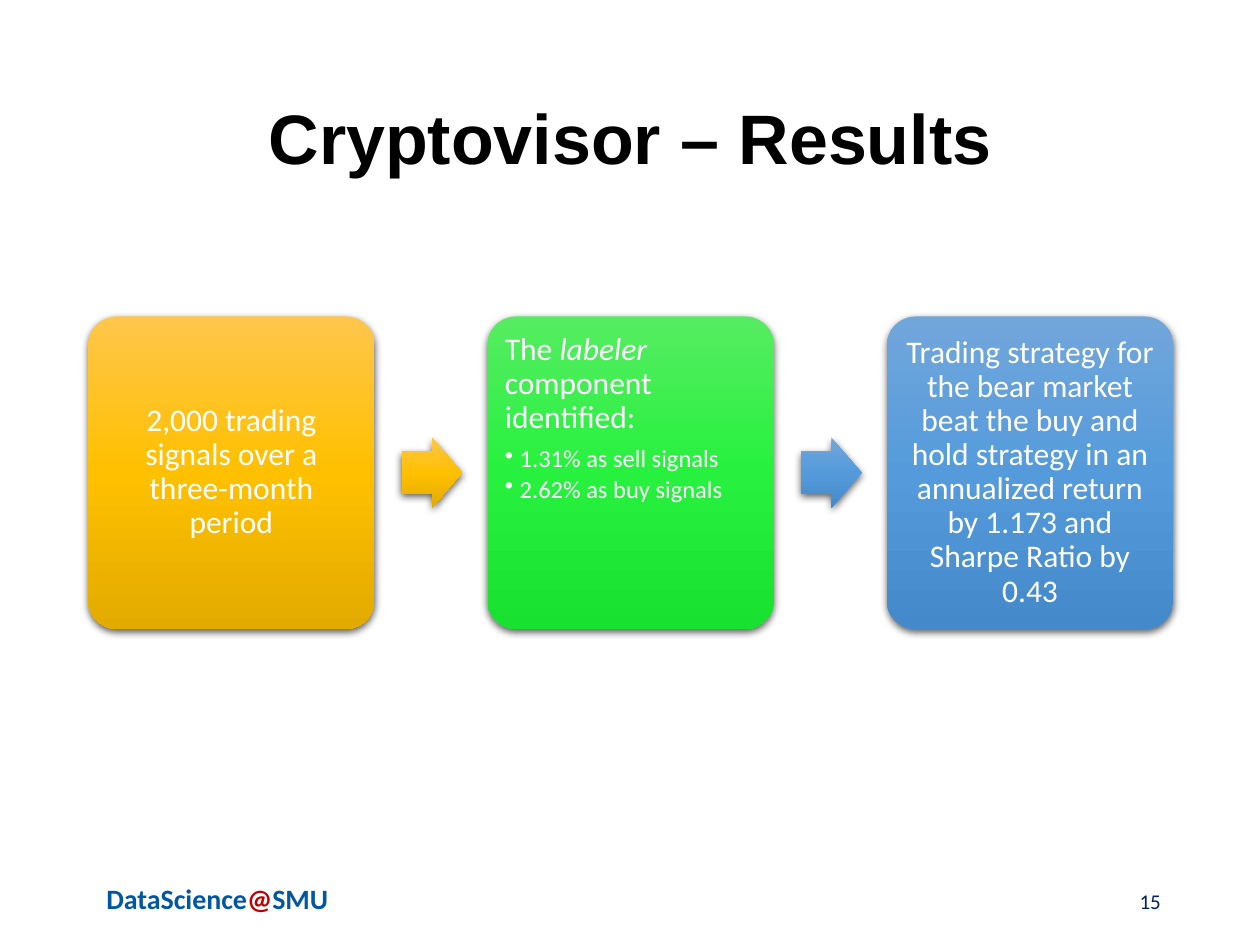
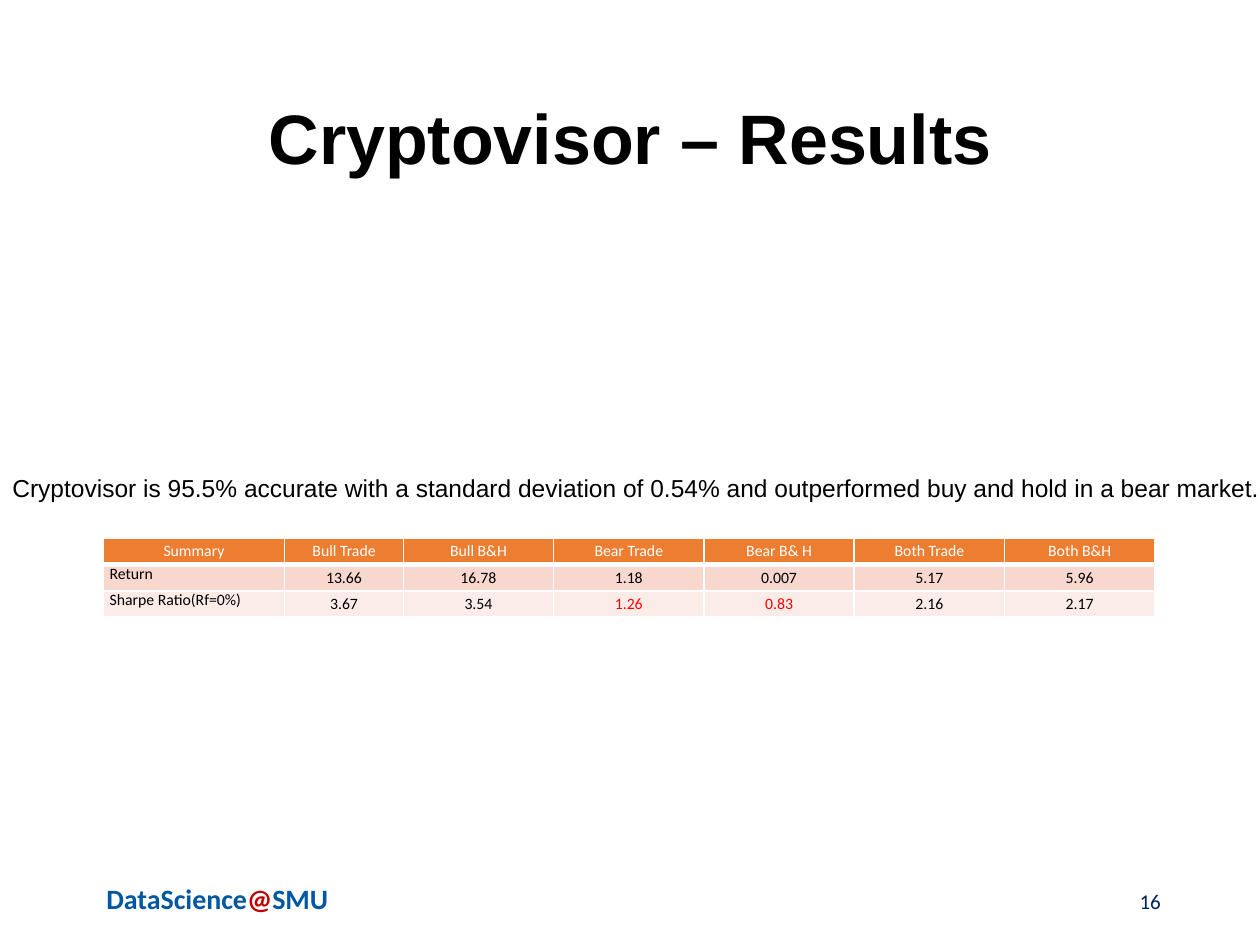
from lxml.etree import SubElement
from pptx import Presentation
from pptx.dml.color import RGBColor
from pptx.enum.shapes import MSO_SHAPE
from pptx.enum.text import MSO_ANCHOR, PP_ALIGN
from pptx.oxml.ns import qn
from pptx.util import Cm, Pt

# Shared colours and fonts
WHITE = RGBColor(0xFF, 0xFF, 0xFF)
BLACK = RGBColor(0, 0, 0)
RED = RGBColor(0xFF, 0, 0)
BRAND_BLUE = RGBColor(0x02, 0x57, 0xA1)
BRAND_RED = RGBColor(0xC0, 0, 0)
NAVY = RGBColor(0x00, 0x20, 0x60)
ORANGE = RGBColor(0xED, 0x7D, 0x31)
PINK = RGBColor(0xF8, 0xD7, 0xCE)
PALE_PINK = RGBColor(0xFC, 0xEC, 0xE8)
AMBER_FADE = (RGBColor(0xFF, 0xC6, 0x4B), RGBColor(0xFF, 0xC0, 0x00), RGBColor(0xE3, 0xAB, 0x00))
GREEN_FADE = (RGBColor(0x56, 0xEC, 0x62), RGBColor(0x27, 0xF1, 0x3E), RGBColor(0x18, 0xE1, 0x2F))
BLUE_FADE = (RGBColor(0x71, 0xA6, 0xDB), RGBColor(0x55, 0x9B, 0xDB), RGBColor(0x44, 0x8A, 0xCA))
HEADING_FONT = "Arial"
BODY_FONT = "Calibri"

# Flow of cards, in centimetres
CARD_LEFT, CARD_TOP = 1.78, 6.38
CARD_WIDTH, CARD_HEIGHT = 5.77, 6.3
CARD_PITCH = 8.05
ARROW_OFFSET, ARROW_WIDTH, ARROW_HEIGHT = 6.32, 1.22, 1.42

SUMMARY = [
    ["Summary", "Bull Trade", "Bull B&H", "Bear Trade", "Bear B& H", "Both Trade", "Both B&H"],
    ["Return", "13.66", "16.78", "1.18", "0.007", "5.17", "5.96"],
    ["Sharpe Ratio(Rf=0%)", "3.67", "3.54", "1.26", "0.83", "2.16", "2.17"],
]
COLUMN_WIDTHS = [3.66, 2.39] + [3.03] * 5
ROW_FILLS = [ORANGE, PINK, PALE_PINK]
HIGHLIGHTS = {(2, 3), (2, 4)}


# Text
def add_span(para, text, size=18, font=BODY_FONT, color=WHITE, bold=False, italic=False):
    span = para.add_run()
    span.text = text
    span.font.size = Pt(size)
    span.font.name = font
    span.font.color.rgb = color
    span.font.bold = bold
    span.font.italic = italic


def format_para(para, align=PP_ALIGN.LEFT, line_spacing=0.9, space_after=0):
    para.alignment = align
    para.line_spacing = line_spacing
    para.space_before = Pt(0)
    para.space_after = Pt(space_after)


def add_bullet(para):
    properties = para._p.get_or_add_pPr()
    indent = Cm(0.3)
    properties.set("marL", str(indent))
    properties.set("indent", str(-indent))
    SubElement(properties, qn("a:buChar"), char="•")


def set_frame(frame, anchor=MSO_ANCHOR.TOP, side_margin=0.25, end_margin=0.13):
    frame.word_wrap = True
    frame.vertical_anchor = anchor
    frame.margin_left = frame.margin_right = Cm(side_margin)
    frame.margin_top = frame.margin_bottom = Cm(end_margin)


def add_text_box(page, left, top, width, height, **frame_format):
    box = page.shapes.add_textbox(Cm(left), Cm(top), Cm(width), Cm(height))
    set_frame(box.text_frame, **frame_format)
    return box.text_frame.paragraphs[0]


# Shared page with title and footer
def add_page(deck, title, number):
    page = deck.slides.add_slide(deck.slide_layouts[5])
    heading = page.shapes.title
    heading.left, heading.top, heading.width, heading.height = Cm(1.75), Cm(1.02), Cm(21.9), Cm(3.68)
    set_frame(heading.text_frame, anchor=MSO_ANCHOR.MIDDLE)
    para = heading.text_frame.paragraphs[0]
    format_para(para, align=PP_ALIGN.CENTER)
    add_span(para, title, size=40, font=HEADING_FONT, color=BLACK, bold=True)

    para = add_text_box(page, 1.75, 17.65, 5.26, 1.35)
    format_para(para, align=PP_ALIGN.CENTER, line_spacing=1.0)
    for text, color in (("DataScience", BRAND_BLUE), ("@", BRAND_RED), ("SMU", BRAND_BLUE)):
        add_span(para, text, size=16, color=color, bold=True)

    para = add_text_box(page, 17.93, 17.65, 5.72, 1.02, anchor=MSO_ANCHOR.MIDDLE)
    format_para(para, align=PP_ALIGN.RIGHT, line_spacing=1.0)
    add_span(para, str(number), size=12, color=NAVY)
    return page


# Cards and arrows
def add_faded_shape(page, kind, left, top, width, height, fade, adjustments):
    shape = page.shapes.add_shape(kind, Cm(left), Cm(top), Cm(width), Cm(height))
    for index, value in enumerate(adjustments):
        shape.adjustments[index] = value
    shape.line.fill.background()

    shape.fill.gradient()
    shape.fill.gradient_angle = 270
    properties = shape._element.spPr
    stops = properties.find(qn("a:gradFill")).find(qn("a:gsLst"))
    for stop in list(stops):
        stops.remove(stop)
    for position, color in zip((0, 50000, 100000), fade):
        stop = SubElement(stops, qn("a:gs"), pos=str(position))
        SubElement(stop, qn("a:srgbClr"), val=str(color))

    shape.shadow.inherit = False
    shadow = SubElement(properties.find(qn("a:effectLst")), qn("a:outerShdw"),
                        blurRad=str(Pt(4.5)), dist=str(Pt(1.5)), dir="5400000",
                        algn="ctr", rotWithShape="0")
    shadow_color = SubElement(shadow, qn("a:srgbClr"), val=str(BLACK))
    SubElement(shadow_color, qn("a:alpha"), val="63000")
    return shape


def add_card(page, column, fade, anchor=MSO_ANCHOR.MIDDLE):
    card = add_faded_shape(page, MSO_SHAPE.ROUNDED_RECTANGLE, CARD_LEFT + column * CARD_PITCH,
                           CARD_TOP, CARD_WIDTH, CARD_HEIGHT, fade, [0.1])
    set_frame(card.text_frame, anchor=anchor, side_margin=0.18, end_margin=0.18)
    return card.text_frame


def add_statement_card(page, column, text, fade):
    para = add_card(page, column, fade).paragraphs[0]
    format_para(para, align=PP_ALIGN.CENTER)
    add_span(para, text)


def add_labeler_card(page, column, fade):
    frame = add_card(page, column, fade, anchor=MSO_ANCHOR.TOP)
    para = frame.paragraphs[0]
    format_para(para, space_after=6.3)
    add_span(para, "The ")
    add_span(para, "labeler", italic=True)
    add_span(para, " component identified:")
    for text in ("1.31% as sell signals", "2.62% as buy signals"):
        para = frame.add_paragraph()
        format_para(para, space_after=2.1)
        add_bullet(para)
        add_span(para, text, size=14)


def add_arrow(page, column, fade):
    add_faded_shape(page, MSO_SHAPE.RIGHT_ARROW, CARD_LEFT + column * CARD_PITCH + ARROW_OFFSET,
                    CARD_TOP + (CARD_HEIGHT - ARROW_HEIGHT) / 2, ARROW_WIDTH, ARROW_HEIGHT,
                    fade, [0.6, 0.5])


# Summary table
def set_borders(cell, **widths):
    properties = cell._tc.get_or_add_tcPr()
    for side in "LRTB":
        line = SubElement(properties, qn(f"a:ln{side}"), w=str(Pt(widths.get(side, 1))))
        fill = SubElement(line, qn("a:solidFill"))
        SubElement(fill, qn("a:srgbClr"), val=str(WHITE))


def fill_cell(cell, text, fill, color, is_label):
    cell.margin_left = cell.margin_right = Cm(0.13)
    cell.margin_top = cell.margin_bottom = 0
    cell.vertical_anchor = MSO_ANCHOR.TOP if is_label else MSO_ANCHOR.MIDDLE
    cell.fill.solid()
    cell.fill.fore_color.rgb = fill
    para = cell.text_frame.paragraphs[0]
    format_para(para, align=PP_ALIGN.JUSTIFY if is_label else PP_ALIGN.CENTER, line_spacing=1.0)
    add_span(para, text, size=9, color=color)


def add_summary_table(page):
    table = page.shapes.add_table(len(SUMMARY), len(COLUMN_WIDTHS), Cm(2.08), Cm(10.85),
                                  Cm(sum(COLUMN_WIDTHS)), Cm(1.6)).table
    for column, width in zip(table.columns, COLUMN_WIDTHS):
        column.width = Cm(width)
    for row, values in enumerate(SUMMARY):
        table.rows[row].height = Cm(0.53)
        for column, text in enumerate(values):
            cell = table.cell(row, column)
            set_borders(cell, T=3 if row == 1 else 1, B=3 if row == 0 else 1)
            color = WHITE if row == 0 else RED if (row, column) in HIGHLIGHTS else BLACK
            fill_cell(cell, text, ROW_FILLS[row], color, is_label=row > 0 and column == 0)


def main():
    deck = Presentation()
    deck.slide_width, deck.slide_height = Cm(25.4), Cm(19.05)

    # Signals and strategy
    page = add_page(deck, "Cryptovisor – Results", 15)
    add_statement_card(page, 0, "2,000 trading signals over a three-month period", AMBER_FADE)
    add_arrow(page, 0, AMBER_FADE)
    add_labeler_card(page, 1, GREEN_FADE)
    add_arrow(page, 1, BLUE_FADE)
    add_statement_card(page, 2, "Trading strategy for the bear market beat the buy and hold strategy "
                       "in an annualized return by 1.173 and Sharpe Ratio by 0.43", BLUE_FADE)

    # Accuracy and returns
    page = add_page(deck, "Cryptovisor – Results", 16)
    para = add_text_box(page, -0.18, 9.37, 26.31, 0.86, side_margin=0.43, end_margin=0.23)
    format_para(para, align=PP_ALIGN.JUSTIFY)
    add_span(para, "Cryptovisor is 95.5% accurate with a standard deviation of 0.54% "
             "and outperformed buy and hold in a bear market.",
             size=14, font=HEADING_FONT, color=BLACK)
    add_summary_table(page)

    deck.save("out.pptx")


if __name__ == "__main__":
    main()
